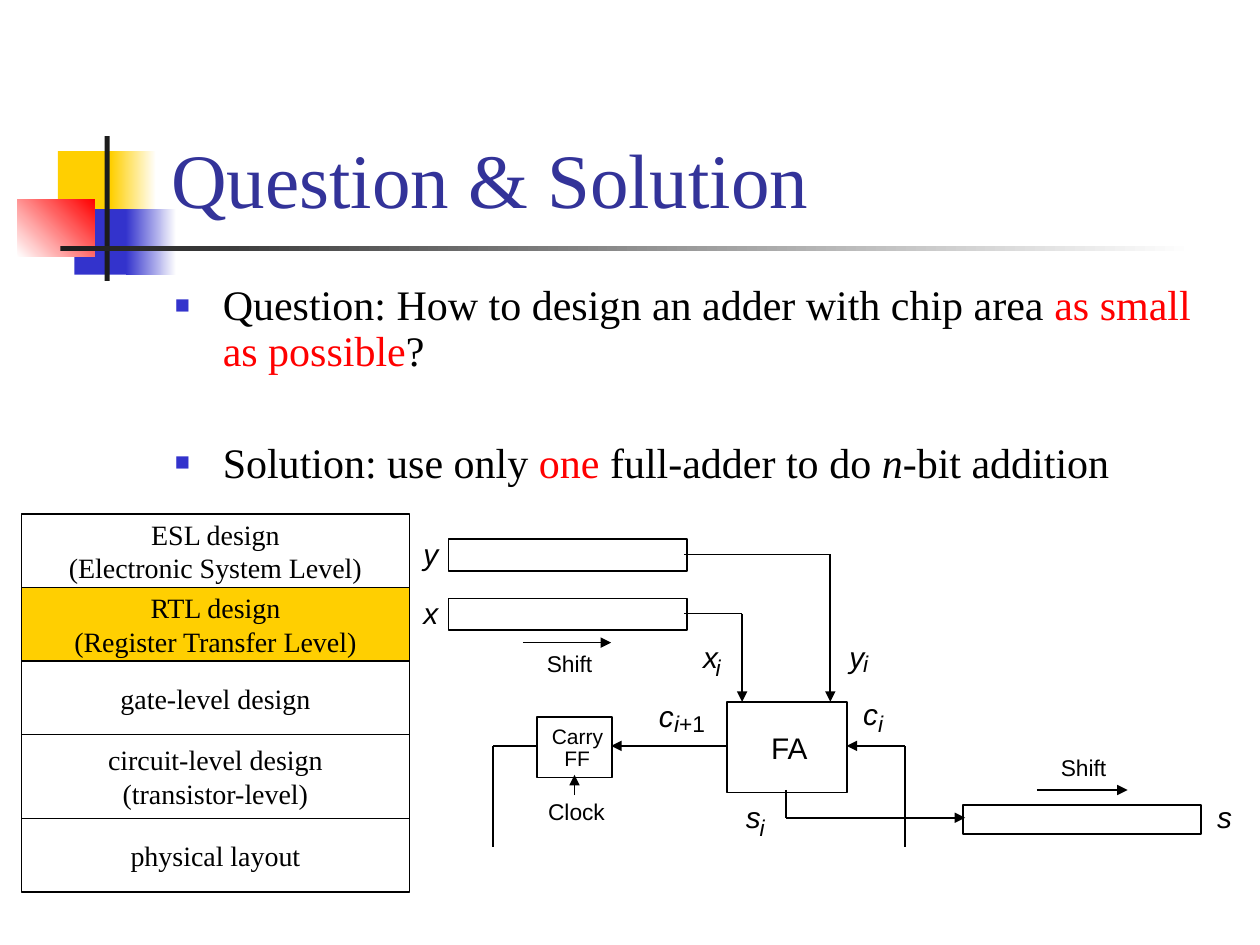
import itertools

import lxml.etree
import pptx
import pptx.dml.color
import pptx.enum.shapes
import pptx.enum.text
import pptx.oxml.ns
import pptx.util

Inches = pptx.util.Inches
Pt = pptx.util.Pt
ALIGN = pptx.enum.text.PP_ALIGN
ANCHOR = pptx.enum.text.MSO_ANCHOR
FIT_SHAPE = pptx.enum.text.MSO_AUTO_SIZE.SHAPE_TO_FIT_TEXT
SERIF, SANS = "Times New Roman", "Arial"
BLACK, WHITE, RED = "000000", "FFFFFF", "FF0000"
YELLOW, BLUE, INK, NAVY = "FFCF01", "3333CC", "1C1C1C", "333399"


def rgb(value):
    return pptx.dml.color.RGBColor.from_string(value)


def add_child(parent, tag, **attributes):
    return lxml.etree.SubElement(parent, pptx.oxml.ns.qn(tag), attributes)


def add_run(paragraph, text, color=BLACK, **font_format):
    run = paragraph.add_run()
    run.text = text
    run.font.color.rgb = rgb(color)
    for name, value in font_format.items():
        setattr(run.font, name, value)


def set_frame(frame, inset=None, **frame_format):
    if inset is not None:
        for side in ("left", "top", "right", "bottom"):
            setattr(frame, f"margin_{side}", Inches(inset))
    for name, value in frame_format.items():
        setattr(frame, name, value)


def add_rect(slide, left, top, width, height, fill=None, line_width=None):
    rect = slide.shapes.add_shape(
        pptx.enum.shapes.MSO_SHAPE.RECTANGLE,
        Inches(left), Inches(top), Inches(width), Inches(height))
    rect.shadow.inherit = False
    if fill:
        rect.fill.solid()
        rect.fill.fore_color.rgb = rgb(fill)
    else:
        rect.fill.background()
    if line_width:
        rect.line.color.rgb = rgb(BLACK)
        rect.line.width = Pt(line_width)
    else:
        rect.line.fill.background()
    return rect


def set_gradient(rect, start, end, angle=0):
    rect.fill.gradient()
    rect.fill.gradient_angle = angle
    for position, (stop, color) in enumerate(
            zip(rect.fill.gradient_stops, (start, end))):
        stop.color.rgb = rgb(color)
        stop.position = position


def add_text_box(slide, left, top, width, height):
    return slide.shapes.add_textbox(
        Inches(left), Inches(top), Inches(width), Inches(height)).text_frame


def add_wire(slide, points, arrow=True):
    """Join the points with straight lines; the arrowhead sits on the last."""
    for start, end in itertools.pairwise(points):
        line = slide.shapes.add_connector(
            pptx.enum.shapes.MSO_CONNECTOR.STRAIGHT,
            *(Inches(value) for value in (*start, *end)))
        line.line.color.rgb = rgb(BLACK)
        line.line.width = Pt(1)
        add_child(line._element.spPr, "a:effectLst")
    if arrow:
        add_child(line.line._get_or_add_ln(), "a:tailEnd",
                  type="triangle", w="med", len="med")


def add_ornament(slide, left, top):
    blocks = [
        (0.32, 0.12, 0.48, 0.52, YELLOW, None),
        (0.74, 0.12, 0.36, 0.52, YELLOW, (YELLOW, WHITE)),
        (0.45, 0.58, 0.46, 0.52, BLUE, None),
        (0.86, 0.58, 0.4, 0.52, BLUE, (BLUE, WHITE)),
        (0, 0.5, 0.61, 0.46, RED, (WHITE, RED, 45)),
        (0.69, 0, 0.04, 1.15, INK, None),
        (0.34, 0.87, 9, 0.04, INK, (INK, WHITE)),
    ]
    for x, y, width, height, fill, gradient in blocks:
        block = add_rect(slide, left + x, top + y, width, height, fill)
        if gradient:
            set_gradient(block, *gradient)


def add_title(slide, left, top, width, height):
    frame = add_text_box(slide, left, top, width, height)
    set_frame(frame, word_wrap=True, vertical_anchor=ANCHOR.BOTTOM)
    add_run(frame.paragraphs[0], "Question & Solution", NAVY,
            size=Pt(44), name=SERIF)


def add_bullets(slide, left, top, width, height):
    bullets = [
        [("Question: How to design an adder with chip area ", {}),
         ("as small as possible", {"color": RED}), ("?", {})],
        [("Solution: use only ", {}), ("one", {"color": RED}),
         (" full-adder to do ", {}), ("n", {"italic": True}),
         ("-bit addition", {})],
    ]
    frame = add_text_box(slide, left, top, width, height)
    set_frame(frame, word_wrap=True)
    for index, runs in enumerate(bullets):
        paragraph = frame.add_paragraph() if index else frame.paragraphs[0]
        properties = paragraph._p.get_or_add_pPr()
        properties.set("marL", str(Inches(0.38)))
        properties.set("indent", str(Inches(-0.38)))
        paragraph.line_spacing = 0.9
        if index:
            paragraph.space_before = Pt(38)
        add_child(add_child(properties, "a:buClr"), "a:srgbClr", val=BLUE)
        add_child(properties, "a:buSzPct", val="60000")
        add_child(properties, "a:buFont", typeface=SERIF)
        add_child(properties, "a:buChar", char="■")
        for text, style in runs:
            add_run(paragraph, text, size=Pt(24), name=SERIF, **style)


def add_design_levels(slide, left, top, width, height):
    # Each level: share of the stack's height, fill, lines of text
    levels = [
        (7, None, ["ESL design", "(Electronic System Level)"]),
        (7, YELLOW, ["RTL design", "(Register Transfer Level)"]),
        (7, None, ["gate-level design"]),
        (8, None, ["circuit-level design", "(transistor-level)"]),
        (7, None, ["physical layout"]),
    ]
    unit = height / sum(share for share, _, _ in levels)
    for share, fill, lines in levels:
        level = add_rect(slide, left, top, width, share * unit, fill, 0.75)
        frame = level.text_frame
        set_frame(frame, word_wrap=False, vertical_anchor=ANCHOR.MIDDLE)
        for index, text in enumerate(lines):
            paragraph = frame.add_paragraph() if index else frame.paragraphs[0]
            paragraph.alignment = ALIGN.CENTER
            add_run(paragraph, text, size=Pt(16), name=SERIF)
        top += share * unit


def add_serial_adder(slide, left, top):
    y_register = (0.26, 0.08, 1.89, 0.25)
    x_register = (0.26, 0.55, 1.89, 0.25)
    sum_register = (4.34, 2.19, 1.89, 0.23)
    full_adder = (2.47, 1.37, 0.95, 0.72)
    carry_flip_flop = (0.96, 1.49, 0.6, 0.48)
    for x, y, width, height in (y_register, x_register, sum_register,
                                full_adder, carry_flip_flop):
        add_rect(slide, left + x, top + y, width, height, WHITE, 1)

    wires = [
        ([(2.13, 0.2), (3.29, 0.2), (3.29, 1.37)], True),
        ([(2.13, 0.67), (2.59, 0.67), (2.59, 1.37)], True),
        ([(2.94, 2.07), (2.94, 2.29), (4.36, 2.29)], True),
        ([(3.88, 2.52), (3.88, 1.72), (3.42, 1.72)], True),
        ([(2.47, 1.72), (1.55, 1.72)], True),
        ([(0.96, 1.72), (0.61, 1.72), (0.61, 2.52)], False),
        ([(1.26, 2.11), (1.26, 1.95)], True),
        ([(0.85, 0.9), (1.55, 0.9)], True),
        ([(4.93, 2.07), (5.65, 2.07)], True),
    ]
    for points, arrow in wires:
        add_wire(slide, [(left + x, top + y) for x, y in points], arrow)

    # (size, italic, box height): [(text, x, y, width)]
    labels = {
        (17, True, 0.28): [
            ("y", 0.06, 0.05, 0.12), ("x", 0.06, 0.52, 0.12),
            ("s", 6.36, 2.14, 0.12), ("x", 2.28, 0.87, 0.12),
            ("y", 3.44, 0.87, 0.12), ("s", 2.62, 2.14, 0.12),
            ("c", 1.93, 1.34, 0.12), ("c", 3.55, 1.32, 0.12)],
        (13, True, 0.22): [
            ("i", 2.38, 0.99, 0.04), ("i", 3.55, 0.96, 0.04),
            ("i", 2.73, 2.26, 0.04), ("i", 2.05, 1.43, 0.04),
            ("i", 3.67, 1.43, 0.04)],
        (13, False, 0.22): [
            ("+1", 2.09, 1.43, 0.21), ("Shift", 1.04, 0.96, 0.36),
            ("Shift", 5.12, 1.78, 0.36), ("Clock", 1.05, 2.13, 0.45)],
        (17, False, 0.28): [("FA", 2.82, 1.59, 0.3)],
        (12, False, 0.2): [("Carry", 1.08, 1.54, 0.41),
                           ("FF", 1.18, 1.72, 0.24)],
    }
    for (size, italic, height), places in labels.items():
        for text, x, y, width in places:
            frame = add_text_box(slide, left + x, top + y, width, height)
            set_frame(frame, inset=0, word_wrap=False, auto_size=FIT_SHAPE)
            add_run(frame.paragraphs[0], text, size=Pt(size), name=SANS,
                    italic=italic)


def main():
    deck = pptx.Presentation()
    deck.slide_width, deck.slide_height = Inches(10), Inches(7.5)
    slide = deck.slides.add_slide(deck.slide_layouts[6])
    add_ornament(slide, 0.14, 1.08)
    add_title(slide, 1.26, 0.23, 8.52, 1.6)
    add_bullets(slide, 1.29, 2.21, 8.5, 2.04)
    add_design_levels(slide, 0.17, 4.08, 3.08, 3)
    add_serial_adder(slide, 3.3, 4.2)
    deck.save("out.pptx")


if __name__ == "__main__":
    main()
